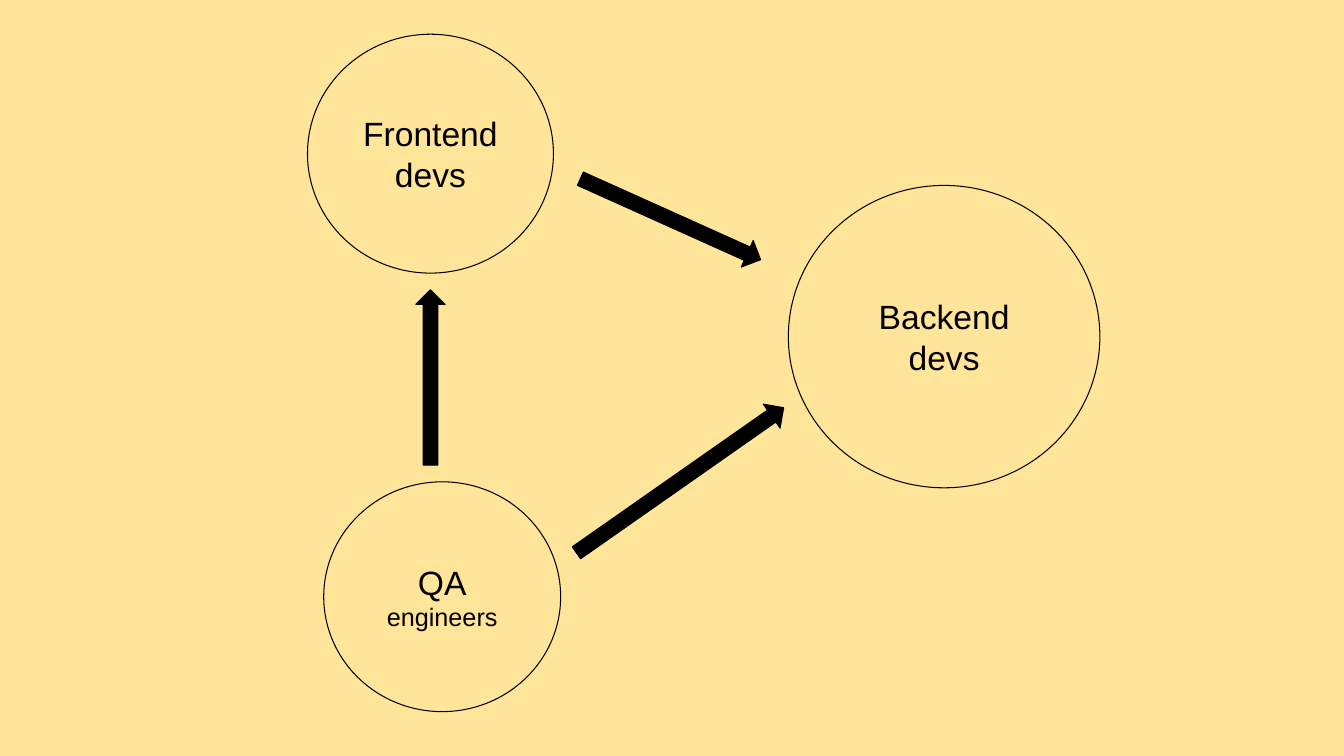
from math import atan2, degrees, hypot

from pptx import Presentation
from pptx.dml.color import RGBColor
from pptx.enum.shapes import MSO_SHAPE as Shape
from pptx.enum.text import MSO_ANCHOR as Anchor, PP_ALIGN as Align
from pptx.util import Inches, Pt

THEME = {
    "background": RGBColor.from_string("FEE599"),
    "ink": RGBColor.from_string("000000"),
    "font": "Arial",
    "large": Pt(24),
    "small": Pt(18),
    "line": Pt(0.75),
}

# Positions and sizes are percentages of the slide's width and height.
TEAMS = [
    {"center": (32.03, 20.33), "size": (18.3, 31.6),
     "lines": [("Frontend", "large"), ("devs", "large")]},
    {"center": (70.25, 44.53), "size": (23.18, 40),
     "lines": [("Backend devs", "large")]},
    {"center": (32.9, 78.93), "size": (17.63, 30.4),
     "lines": [("QA", "large"), ("engineers", "small")]},
]
# Tail and head of each arrow
ARROWS = [
    ((42.89, 73.13), (58.31, 53.93)),  # QA to backend
    ((32.03, 61.53), (32.03, 38.33)),  # QA to frontend
    ((43.18, 23.64), (56.59, 34.36)),  # frontend to backend
]
ARROW_THICKNESS = 3.87

presentation = Presentation()
presentation.slide_width = Inches(13.33)
presentation.slide_height = Inches(7.5)
slide = presentation.slides.add_slide(presentation.slide_layouts[6])
slide.background.fill.solid()
slide.background.fill.fore_color.rgb = THEME["background"]


def to_slide(pair):
    """Turn percentages of width and height into slide lengths."""
    across, down = pair
    return (presentation.slide_width * across / 100,
            presentation.slide_height * down / 100)


def add_centered(kind, center, size):
    (x, y), (width, height) = center, size
    shape = slide.shapes.add_shape(
        kind, int(x - width / 2), int(y - height / 2), int(width), int(height))
    shape.shadow.inherit = False
    shape.line.color.rgb = THEME["ink"]
    shape.line.width = THEME["line"]
    return shape


def add_team(center, size, lines):
    circle = add_centered(Shape.OVAL, to_slide(center), to_slide(size))
    circle.fill.background()
    frame = circle.text_frame
    frame_format = {"word_wrap": True, "vertical_anchor": Anchor.MIDDLE}
    for side in ("left", "right", "top", "bottom"):
        frame_format[f"margin_{side}"] = Inches(0.1)
    for name, value in frame_format.items():
        setattr(frame, name, value)
    for index, (text, size_name) in enumerate(lines):
        paragraph = frame.add_paragraph() if index else frame.paragraphs[0]
        paragraph.alignment = Align.CENTER
        run = paragraph.add_run()
        run.text = text
        run.font.name = THEME["font"]
        run.font.size = THEME[size_name]
        run.font.color.rgb = THEME["ink"]


def add_arrow(tail, head):
    (x1, y1), (x2, y2) = to_slide(tail), to_slide(head)
    _, thickness = to_slide((0, ARROW_THICKNESS))
    arrow = add_centered(Shape.RIGHT_ARROW, ((x1 + x2) / 2, (y1 + y2) / 2),
                         (hypot(x2 - x1, y2 - y1), thickness))
    arrow.rotation = degrees(atan2(y2 - y1, x2 - x1)) % 360
    arrow.fill.solid()
    arrow.fill.fore_color.rgb = THEME["ink"]


for team in TEAMS:
    add_team(**team)
for tail, head in ARROWS:
    add_arrow(tail, head)

presentation.save("out.pptx")
